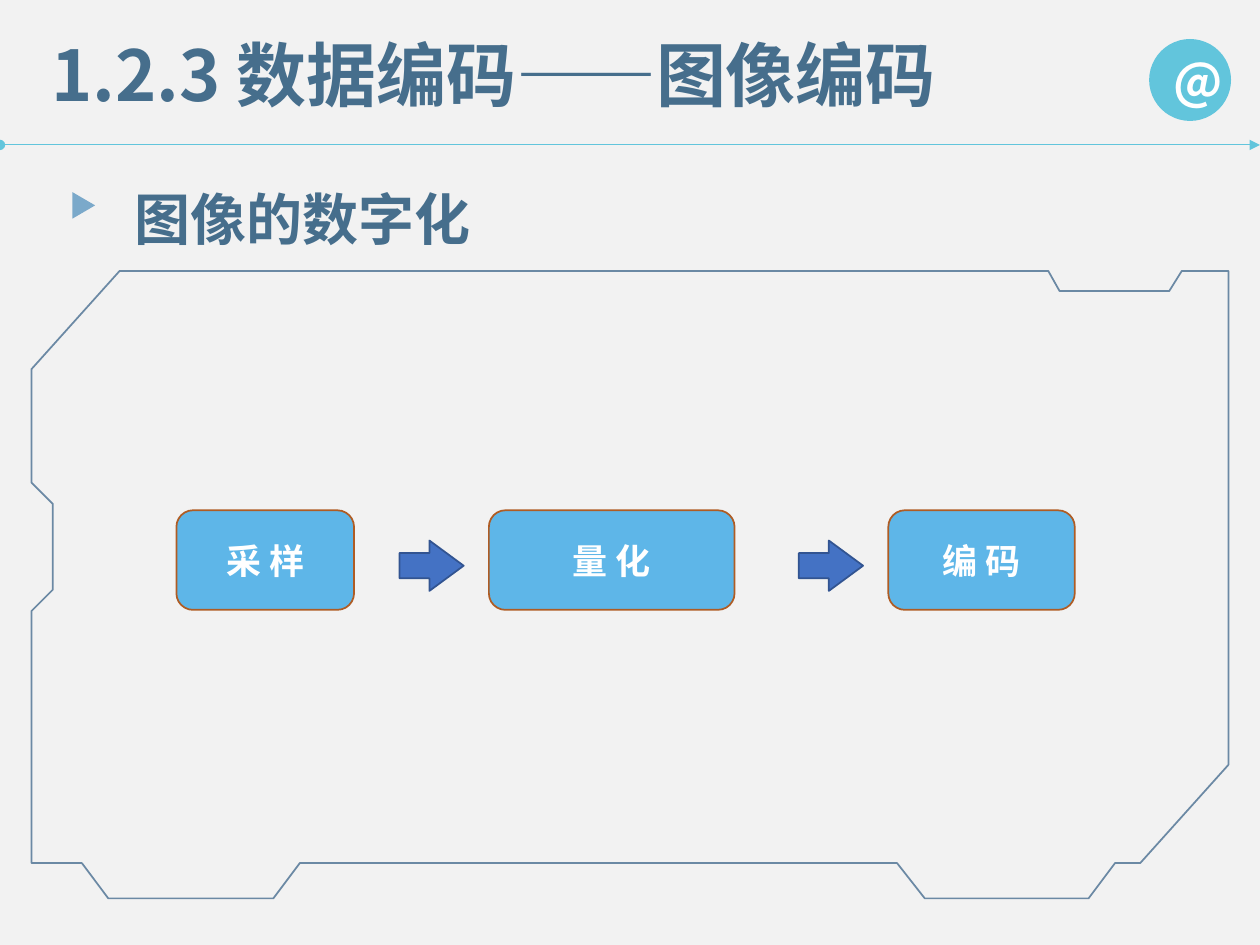
from lxml import etree
from pptx import Presentation
from pptx.dml.color import RGBColor
from pptx.enum.shapes import MSO_CONNECTOR, MSO_SHAPE
from pptx.enum.text import MSO_ANCHOR, MSO_AUTO_SIZE, PP_ALIGN
from pptx.oxml.ns import qn
from pptx.util import Inches, Pt

STRAIGHT = MSO_CONNECTOR.STRAIGHT
ELLIPSE = MSO_SHAPE.OVAL
TRIANGLE = MSO_SHAPE.ISOSCELES_TRIANGLE
STEP_BOX = MSO_SHAPE.FLOWCHART_ALTERNATE_PROCESS
RIGHT_ARROW = MSO_SHAPE.RIGHT_ARROW
MIDDLE, TOP = MSO_ANCHOR.MIDDLE, MSO_ANCHOR.TOP
CENTER, LEFT = PP_ALIGN.CENTER, PP_ALIGN.LEFT
GROW = MSO_AUTO_SIZE.SHAPE_TO_FIT_TEXT

FONT = "Noto Sans CJK SC"
WIDTH, HEIGHT = Inches(10), Inches(7.5)
COLUMN, ROW = WIDTH / 100, HEIGHT / 75
COLORS = {
    "background": "F2F2F2",
    "heading": "466E8C",
    "accent": "62C5DC",
    "marker": "7BA9CA",
    "frame": "1F4E79",
    "step": "5EB6E8",
    "step_edge": "AF5C24",
    "arrow": "4472C4",
    "arrow_edge": "325491",
    "white": "FFFFFF",
}
FRAME_OUTLINE = [
    (73.4, 71.3), (86.4, 71.3), (88.5, 68.5), (90.5, 68.5), (97.5, 60.7),
    (97.5, 21.5), (93.8, 21.5), (92.8, 23.1), (84.1, 23.1), (83.2, 21.5),
    (9.5, 21.5), (2.5, 29.3), (2.5, 38.3), (4.2, 40), (4.2, 46.8),
    (2.5, 48.5), (2.5, 68.5), (6.5, 68.5), (8.6, 71.3), (21.7, 71.3),
    (23.8, 68.5), (71.2, 68.5),
]
STEPS = [("采 样", 14, 14.1), ("量 化", 38.8, 19.5), ("编 码", 70.5, 14.8)]
ARROW_COLUMNS = [31.7, 63.4]


def color(name):
    """Return the named colour."""
    return RGBColor.from_string(COLORS[name])


def cells(column, row, columns, rows):
    """Return left, top, width and height of a grid area."""
    return (round(column * COLUMN), round(row * ROW),
            round(columns * COLUMN), round(rows * ROW))


def write(holder, text, size, ink="white", align=CENTER, anchor=MIDDLE, spacing=None):
    """Write one bold paragraph into a shape or text box."""
    frame = holder.text_frame
    frame.word_wrap = True
    frame.vertical_anchor = anchor
    paragraph = frame.paragraphs[0]
    paragraph.alignment = align
    if spacing:
        paragraph.line_spacing = spacing
    run = paragraph.add_run()
    run.text = text
    font = run.font
    font.name, font.size, font.bold = FONT, Pt(size), True
    font.color.rgb = color(ink)
    east_asian = etree.SubElement(run._r.get_or_add_rPr(), qn("a:ea"))
    east_asian.set("typeface", FONT)


def add_heading(slide, text, area, size, spacing=None):
    """Add a left-aligned heading."""
    heading = slide.shapes.add_textbox(*cells(*area))
    write(heading, text, size, "heading", LEFT, TOP, spacing)
    heading.text_frame.auto_size = GROW


def style(shape, fill=None, edge=None):
    """Set fill and outline and remove the shadow."""
    shape.shadow.inherit = False
    if fill:
        shape.fill.solid()
        shape.fill.fore_color.rgb = color(fill)
    else:
        shape.fill.background()
    if edge:
        shape.line.color.rgb = color(edge)
        shape.line.width = Pt(1)
    else:
        shape.line.fill.background()


def add_block(slide, preset, area, fill, edge=None):
    """Add a filled preset shape."""
    block = slide.shapes.add_shape(preset, *cells(*area))
    style(block, fill, edge)
    return block


def add_divider(slide, row):
    """Add the full-width rule with a dot and an arrowhead."""
    y = round(row * ROW)
    divider = slide.shapes.add_connector(STRAIGHT, 0, y, WIDTH, y)
    divider.line.color.rgb = color("accent")
    divider.line.width = Pt(0.5)
    line = divider.line._get_or_add_ln()
    for end, kind in (("a:headEnd", "oval"), ("a:tailEnd", "triangle")):
        etree.SubElement(line, qn(end)).set("type", kind)
    etree.SubElement(divider._element.spPr, qn("a:effectLst"))


def add_frame(slide):
    """Add the notched, translucent outline around the content."""
    points = [(round(column * COLUMN), round(row * ROW)) for column, row in FRAME_OUTLINE]
    builder = slide.shapes.build_freeform(*points[0])
    builder.add_line_segments(points[1:], close=True)
    frame = builder.convert_to_shape()
    style(frame, edge="frame")
    ink = frame.line._get_or_add_ln().find(".//" + qn("a:srgbClr"))
    etree.SubElement(ink, qn("a:alpha")).set("val", "64000")


def add_process(slide):
    """Add the digitising steps and the arrows between them."""
    for label, column, columns in STEPS:
        step = add_block(slide, STEP_BOX, (column, 40.5, columns, 7.9), "step", "step_edge")
        write(step, label, 20)
    for column in ARROW_COLUMNS:
        arrow = add_block(slide, RIGHT_ARROW, (column, 42.9, 5.1, 4), "arrow", "arrow_edge")
        arrow.adjustments[0] = 0.5
        arrow.adjustments[1] = 0.68


def main():
    """Build and save the slide."""
    deck = Presentation()
    deck.slide_width, deck.slide_height = WIDTH, HEIGHT
    slide = deck.slides.add_slide(deck.slide_layouts[6])
    slide.background.fill.solid()
    slide.background.fill.fore_color.rgb = color("background")
    add_divider(slide, 11.5)
    badge = add_block(slide, ELLIPSE, (91.2, 3.1, 6.5, 6.5), "accent")
    write(badge, "@", 28)
    add_heading(slide, "图像的数字化", (9.7, 11.5, 83.1, 7.8), 32, spacing=1.5)
    marker = add_block(slide, TRIANGLE, (5.6, 15.4, 2.1, 1.8), "marker")
    marker.rotation = 90
    add_frame(slide)
    add_process(slide)
    add_heading(slide, "1.2.3 数据编码——图像编码", (3.1, 2, 82.2, 7.7), 40)
    deck.save("out.pptx")


if __name__ == "__main__":
    main()
